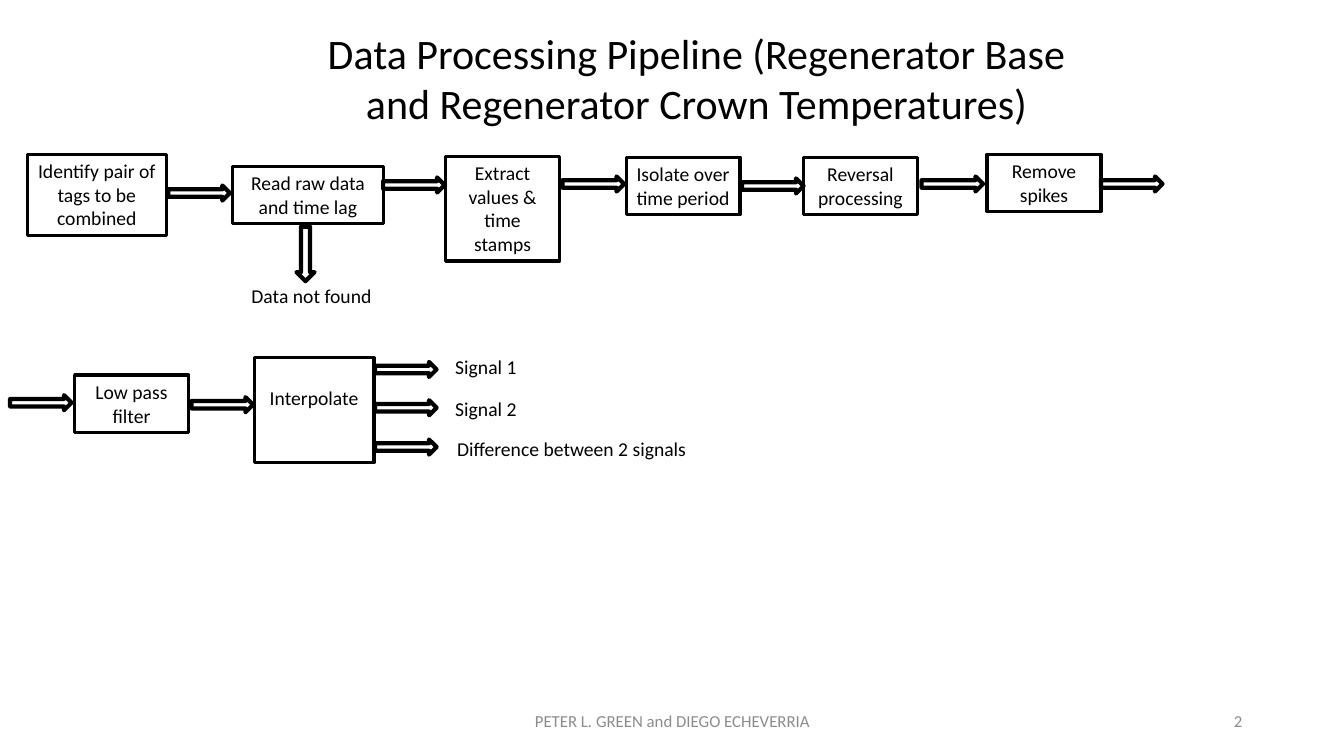
from pptx import Presentation
from pptx import util as u
from pptx.dml.color import RGBColor
from pptx.enum import shapes, text

Inches = u.Inches


def color(value):
    return RGBColor.from_string(value)


class PipelineSlide:
    """Holds the diagram style and the slide being drawn."""

    font = "Calibri"
    ink = "000000"
    muted = "8C8C8C"

    def __init__(self, presentation):
        self.slide = presentation.slides.add_slide(presentation.slide_layouts[5])

    def set_words(self, shape, words, size, ink=None, align=text.PP_ALIGN.CENTER,
                  anchor=text.MSO_ANCHOR.TOP, side=0.1, top=0.05):
        frame = shape.text_frame
        frame.text = words
        frame.word_wrap = True
        frame.auto_size = text.MSO_AUTO_SIZE.NONE
        frame.vertical_anchor = anchor
        frame.margin_left = frame.margin_right = Inches(side)
        frame.margin_top = Inches(top)
        paragraph = frame.paragraphs[0]
        paragraph.alignment = align
        for run in paragraph.runs:
            run.font.name = self.font
            run.font.size = u.Pt(size)
            run.font.color.rgb = color(ink or self.ink)

    def title(self, words, left, top, width, height):
        shape = self.slide.shapes.title
        shape.left, shape.top = Inches(left), Inches(top)
        shape.width, shape.height = Inches(width), Inches(height)
        self.set_words(shape, words, 30, side=0.2)

    def outline(self, kind, left, top, width, height, weight):
        shape = self.slide.shapes.add_shape(
            kind, Inches(left), Inches(top), Inches(width), Inches(height))
        shape.shadow.inherit = False
        shape.fill.background()
        shape.line.color.rgb = color(self.ink)
        shape.line.width = u.Pt(weight)
        return shape

    def step(self, words, left, top, width=1.13, height=0.57, inset=0.05):
        shape = self.outline(shapes.MSO_SHAPE.RECTANGLE, left, top, width, height, 2.25)
        self.set_words(shape, words, 14, side=0.09, top=inset)

    def arrow_right(self, left, top):
        self.outline(shapes.MSO_SHAPE.RIGHT_ARROW, left, top, 0.61, 0.15, 3)

    def arrow_down(self, left, top):
        self.outline(shapes.MSO_SHAPE.DOWN_ARROW, left, top, 0.18, 0.54, 3)

    def label(self, words, left, top, width=2.04, height=0.34, size=14, **style):
        shape = self.slide.shapes.add_textbox(
            Inches(left), Inches(top), Inches(width), Inches(height))
        self.set_words(shape, words, size, **style)


presentation = Presentation()
presentation.slide_width = Inches(13.33)
presentation.slide_height = Inches(7.5)
pipeline = PipelineSlide(presentation)

pipeline.title("Data Processing Pipeline (Regenerator Base and Regenerator Crown Temperatures)",
               2.79, 0.22, 8.24, 1.11)

# First row: from tags to despiked data
pipeline.step("Identify pair of tags to be combined", 0.27, 1.53, 1.38, 0.81)
pipeline.step("Read raw data and time lag", 2.31, 1.65, 1.49)
pipeline.step("Extract values & time stamps", 4.42, 1.55, height=1.04)
pipeline.step("Isolate over time period", 6.21, 1.56)
pipeline.step("Reversal processing", 7.97, 1.56)
pipeline.step("Remove spikes", 9.79, 1.53)
for left, top in [(1.67, 1.84), (3.8, 1.76), (5.58, 1.75),
                  (7.36, 1.77), (9.14, 1.75), (10.92, 1.75)]:
    pipeline.arrow_right(left, top)

# Branch for missing data
pipeline.arrow_down(2.94, 2.25)
pipeline.label("Data not found", 2.07, 2.77)

# Second row: filter and interpolate
pipeline.arrow_right(0.1, 3.92)
pipeline.step("Low pass filter", 0.74, 3.72)
pipeline.arrow_right(1.9, 3.94)
pipeline.step("Interpolate", 2.52, 3.55, 1.19, 1.04, inset=0.28)

# Output signals
for arrow_top, words, left, top, width in [
        (3.59, "Signal 1", 3.8, 3.47, 2.04),
        (3.97, "Signal 2", 3.8, 3.89, 2.04),
        (4.36, "Difference between 2 signals", 4.22, 4.29, 2.9)]:
    pipeline.arrow_right(3.72, arrow_top)
    pipeline.label(words, left, top, width)

# Footer and slide number
footer = dict(top=6.95, height=0.4, size=12, ink=pipeline.muted,
              anchor=text.MSO_ANCHOR.MIDDLE)
pipeline.label("PETER L. GREEN and DIEGO ECHEVERRIA", 4.42, width=4.5, **footer)
pipeline.label("2", 9.42, width=3, align=text.PP_ALIGN.RIGHT, **footer)

presentation.save("out.pptx")
